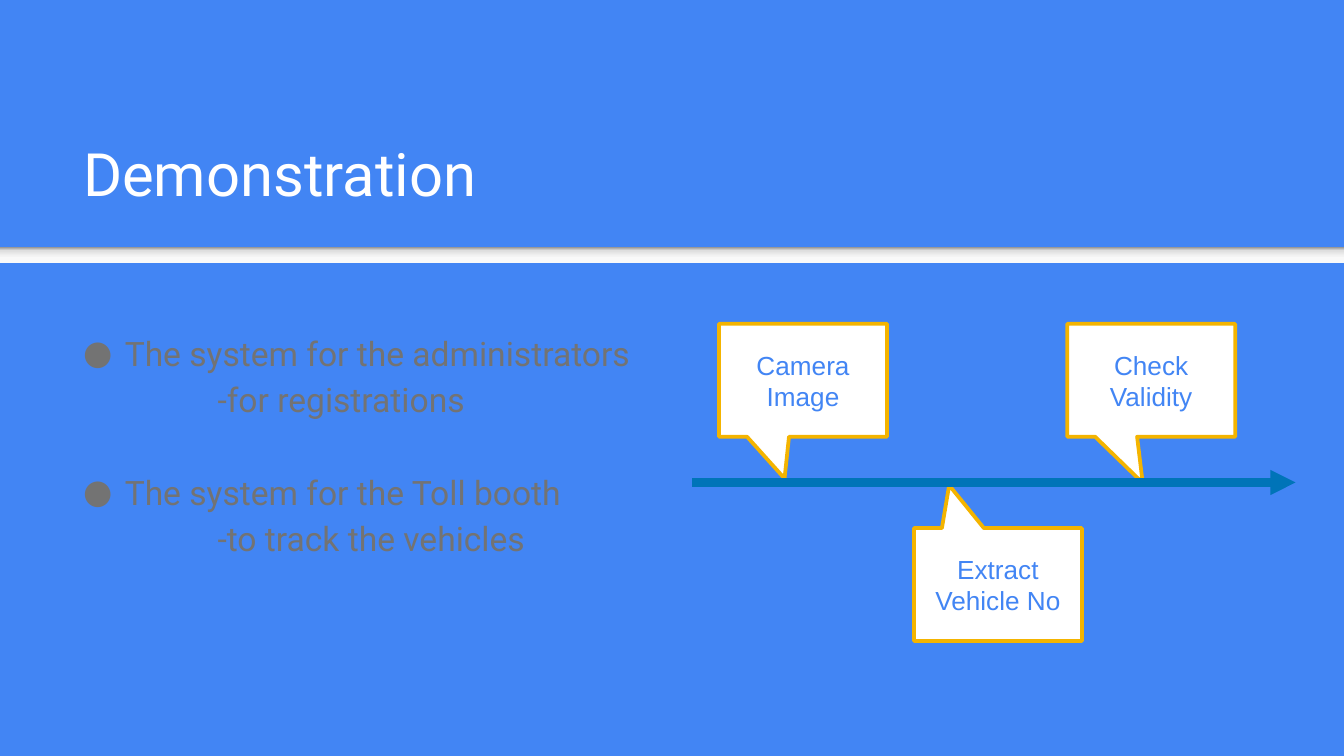
from typing import NamedTuple

from lxml import etree
from pptx import Presentation
from pptx.dml.color import RGBColor
from pptx.enum.shapes import MSO_CONNECTOR, MSO_SHAPE
from pptx.enum.text import MSO_ANCHOR, PP_ALIGN
from pptx.oxml.ns import qn
from pptx.util import Inches, Pt

RECTANGLE = MSO_SHAPE.RECTANGLE
CALLOUT = MSO_SHAPE.RECTANGULAR_CALLOUT
STRAIGHT = MSO_CONNECTOR.STRAIGHT
CENTER = PP_ALIGN.CENTER
MIDDLE, BOTTOM = MSO_ANCHOR.MIDDLE, MSO_ANCHOR.BOTTOM

COLORS = {
    "blue": "4285F4",
    "white": "FFFFFF",
    "amber": "F4B400",
    "timeline": "0074B8",
    "body": "737373",
}
# Position in percent and colour, from the bottom of the divider up
DIVIDER_STOPS = [(0, "F9F9F9"), (36, "F9F9F9"), (80, "DEDEDE"), (100, "999999")]

SLIDE_WIDTH = Inches(10)
SLIDE_HEIGHT = SLIDE_WIDTH * 9 // 16
STEP_WIDTH, STEP_HEIGHT = 1.25, 0.84
ABOVE, BELOW = 2.41, 3.93
TIMELINE_Y = 3.59


class Step(NamedTuple):
    lines: list[str]
    left: float
    top: float
    pointer: tuple[float, float]


class Topic(NamedTuple):
    heading: str
    purpose: str


STEPS = [
    Step(["Camera", "Image"], 5.35, ABOVE, (-0.11, 0.87)),
    Step(["Extract", "Vehicle No"], 6.8, BELOW, (-0.29, -0.88)),
    Step(["Check", "Validity"], 7.94, ABOVE, (-0.05, 0.91)),
]
TOPICS = [
    Topic("The system for the administrators", "-for registrations"),
    Topic("The system for the Toll booth", "-to track the vehicles"),
]


def rgb(name: str) -> RGBColor:
    return RGBColor.from_string(COLORS[name])


def set_font(paragraph, font_name: str, size: float, color: str) -> None:
    font = paragraph.font
    font.name, font.size = font_name, Pt(size)
    font.color.rgb = rgb(color)


def add_text_frame(slide, left: float, top: float, width: float, height: float):
    frame = slide.shapes.add_textbox(
        Inches(left), Inches(top), Inches(width), Inches(height)
    ).text_frame
    frame.word_wrap = True
    frame.margin_top = frame.margin_bottom = Inches(0.1)
    return frame


def add_divider(slide) -> None:
    divider = slide.shapes.add_shape(
        RECTANGLE, 0, Inches(1.84), SLIDE_WIDTH, Inches(0.12)
    )
    divider.shadow.inherit = False
    divider.line.fill.background()
    divider.fill.gradient()
    divider.fill.gradient_angle = 90
    stops = divider.element.spPr.find(".//" + qn("a:gsLst"))
    for default_stop in list(stops):
        stops.remove(default_stop)
    for position, color in DIVIDER_STOPS:
        stop = etree.SubElement(stops, qn("a:gs"), pos=str(position * 1000))
        etree.SubElement(stop, qn("a:srgbClr"), val=color)


def add_title(slide, title: str) -> None:
    frame = add_text_frame(slide, 0.52, 0.81, 8.99, 0.84)
    frame.vertical_anchor = BOTTOM
    frame.text = title
    set_font(frame.paragraphs[0], "Roboto", 32, "white")


def add_step(slide, step: Step) -> None:
    callout = slide.shapes.add_shape(
        CALLOUT, Inches(step.left), Inches(step.top),
        Inches(STEP_WIDTH), Inches(STEP_HEIGHT),
    )
    callout.shadow.inherit = False
    callout.adjustments[0], callout.adjustments[1] = step.pointer
    callout.fill.solid()
    callout.fill.fore_color.rgb = rgb("white")
    callout.line.color.rgb = rgb("amber")
    callout.line.width = Pt(2)
    frame = callout.text_frame
    frame.vertical_anchor = MIDDLE
    frame.text = "\n".join(step.lines)
    for paragraph in frame.paragraphs:
        paragraph.alignment = CENTER
        set_font(paragraph, "Arial", 14, "blue")


def add_timeline(slide) -> None:
    timeline = slide.shapes.add_connector(
        STRAIGHT, Inches(5.15), Inches(TIMELINE_Y), Inches(9.64), Inches(TIMELINE_Y)
    )
    timeline.line.color.rgb = rgb("timeline")
    timeline.line.width = Pt(4.5)
    outline = timeline.element.spPr.find(qn("a:ln"))
    etree.SubElement(outline, qn("a:tailEnd"), type="triangle")
    etree.SubElement(timeline.element.spPr, qn("a:effectLst"))


def set_indent(paragraph, left: float, first_line: float = 0) -> None:
    properties = paragraph._p.get_or_add_pPr()
    properties.set("marL", str(Inches(left)))
    properties.set("indent", str(Inches(first_line)))


def add_bullet(paragraph) -> None:
    properties = paragraph._p.get_or_add_pPr()
    bullet_color = etree.SubElement(properties, qn("a:buClr"))
    etree.SubElement(bullet_color, qn("a:srgbClr"), val=COLORS["body"])
    etree.SubElement(properties, qn("a:buFont"), typeface="Roboto")
    etree.SubElement(properties, qn("a:buChar"), char="●")


def add_topics(slide, topics: list[Topic]) -> None:
    frame = add_text_frame(slide, 0.52, 2.33, 5.88, 3.11)
    frame.text = "\n".join(line for topic in topics for line in topic)
    for index, paragraph in enumerate(frame.paragraphs):
        if index % 2 == 0:
            set_indent(paragraph, 0.31, -0.31)
            add_bullet(paragraph)
            if index:
                paragraph.space_before = Pt(25)
        else:
            set_indent(paragraph, 1)
        paragraph.line_spacing = 1.15
        set_font(paragraph, "Roboto", 18, "body")


def main() -> None:
    presentation = Presentation()
    presentation.slide_width = SLIDE_WIDTH
    presentation.slide_height = SLIDE_HEIGHT
    slide = presentation.slides.add_slide(presentation.slide_layouts[6])
    slide.background.fill.solid()
    slide.background.fill.fore_color.rgb = rgb("blue")

    add_divider(slide)
    add_title(slide, "Demonstration")
    for step in STEPS:
        add_step(slide, step)
    add_timeline(slide)
    add_topics(slide, TOPICS)
    presentation.save("out.pptx")


if __name__ == "__main__":
    main()
